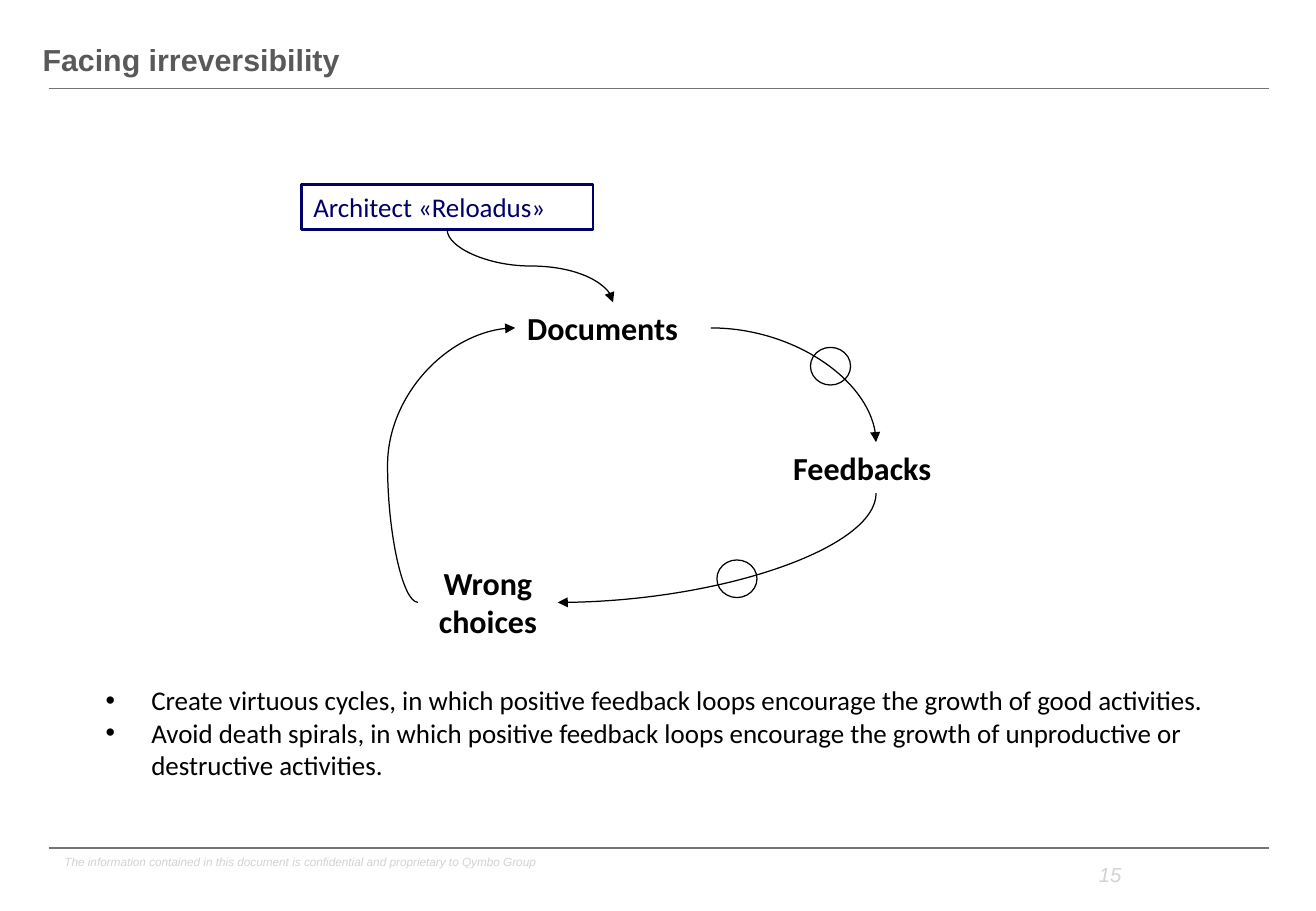
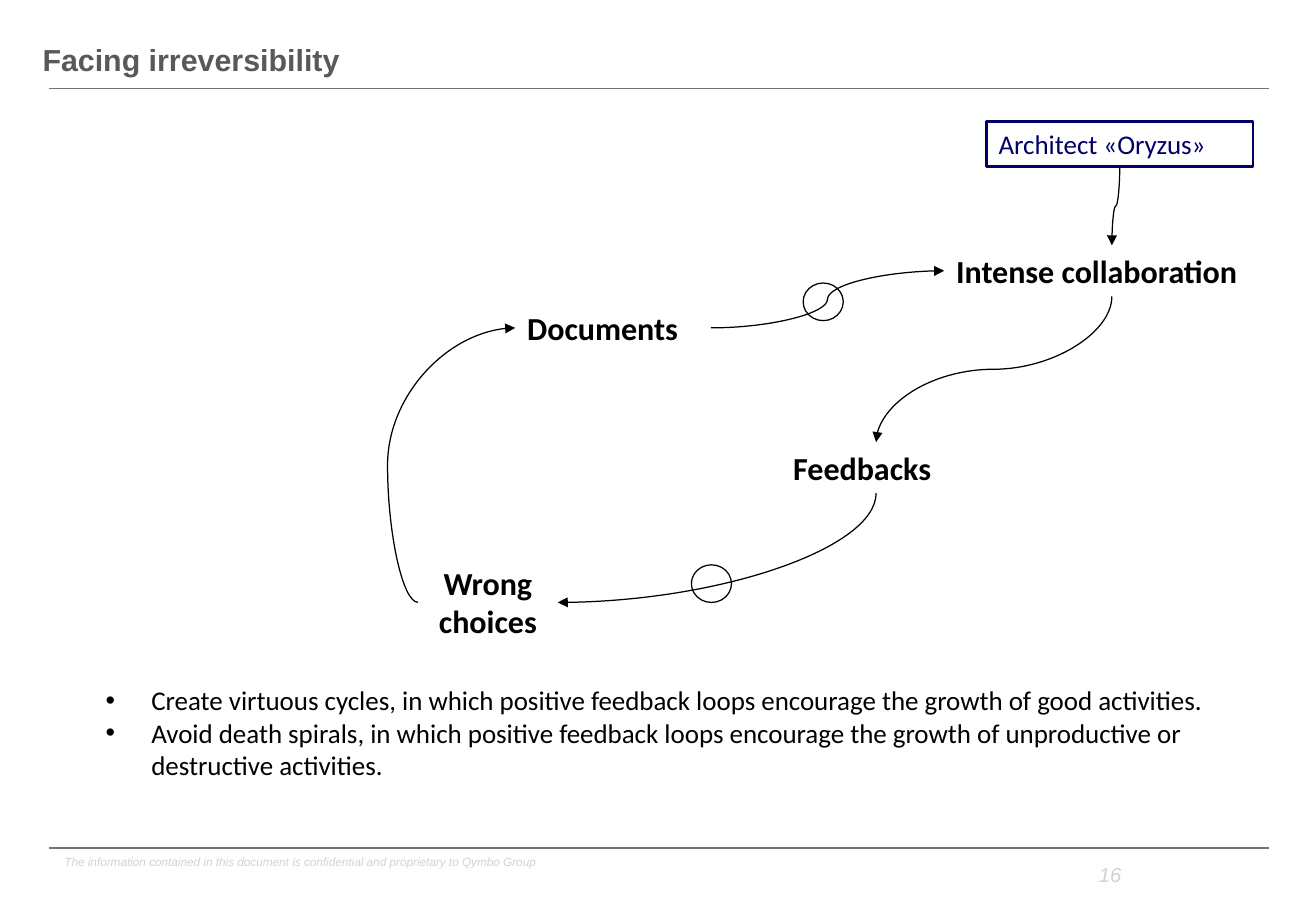
from lxml.etree import SubElement
from pptx import Presentation
from pptx.dml.color import RGBColor as Rgb
from pptx.enum.shapes import MSO_CONNECTOR as Link, MSO_SHAPE as Preset
from pptx.enum.text import MSO_ANCHOR as Anchor, MSO_AUTO_SIZE as Fit, PP_ALIGN as Align
from pptx.oxml.ns import qn
from pptx.util import Inches, Pt

BLACK, NAVY, RULE_GREY = (Rgb.from_string(code) for code in ("000000", "000066", "747373"))
TITLE_GREY, FOOTER_GREY = (Rgb.from_string(code) for code in ("595959", "D4D2D0"))
THEME = {
    "title": {"name": "Arial", "size": Pt(18), "bold": True, "rgb": TITLE_GREY},
    "footer": {"name": "Arial", "size": Pt(7), "italic": True, "rgb": FOOTER_GREY},
    "number": {"name": "Arial", "size": Pt(12), "italic": True, "rgb": FOOTER_GREY},
    "step": {"name": "Calibri", "size": Pt(19), "bold": True, "rgb": BLACK},
    "body": {"name": "Calibri", "size": Pt(16), "rgb": BLACK},
    "architect": {"name": "Calibri", "size": Pt(16), "rgb": NAVY},
    "rule": {"width": Pt(1), "rgb": RULE_GREY},
    "arrow": {"width": Pt(0.75), "rgb": BLACK},
    "frame": {"width": Pt(1.5), "rgb": NAVY},
}

TITLE = "Facing irreversibility"
FOOTER = "The information contained in this document is confidential and proprietary to Qymbo Group"
LESSONS = [
    "Create virtuous cycles, in which positive feedback loops encourage the growth of good activities.",
    "Avoid death spirals, in which positive feedback loops encourage the growth of unproductive or "
    "destructive activities.",
]
TOP, LEFT, BOTTOM, RIGHT = range(4)
STEPS = {
    "Documents": (4.24, 2.49, 1.61, 0.42),
    "Feedbacks": (6.43, 3.64, 1.56, 0.42),
    "Wrong\nchoices": (3.44, 4.59, 1.15, 0.74),
}
ARROWS = [
    ("Feedbacks", BOTTOM, "Wrong\nchoices", RIGHT, None),
    ("Wrong\nchoices", LEFT, "Documents", LEFT, -0.313),
]
DIAGRAMS = [
    {
        "number": 15,
        "architect": ("Architect «Reloadus»", (2.48, 1.52, 2.4, 0.37)),
        "steps": STEPS,
        "arrows": ARROWS + [
            ("architect", BOTTOM, "Documents", TOP, 0.5),
            ("Documents", RIGHT, "Feedbacks", TOP, None),
        ],
        "circles": [(6.67, 2.86), (5.9, 4.61)],
    },
    {
        "number": 16,
        "architect": ("Architect «Oryzus»", (8.12, 1, 2.19, 0.37)),
        "steps": STEPS | {"Intense collaboration": (7.77, 2.02, 2.76, 0.42)},
        "arrows": ARROWS + [
            ("architect", BOTTOM, "Intense collaboration", TOP, 0.5),
            ("Documents", RIGHT, "Intense collaboration", LEFT, 0.5),
            ("Intense collaboration", BOTTOM, "Feedbacks", TOP, 0.5),
        ],
        "circles": [(6.61, 2.33), (5.69, 4.65)],
    },
]


def write(box, place, text, look, align=Align.LEFT, inset=(0.1, 0.05), anchor=Anchor.TOP):
    box.left, box.top, box.width, box.height = map(Inches, place)
    frame = box.text_frame
    across, down = map(Inches, inset)
    layout_values = {
        "text": text, "word_wrap": True, "auto_size": Fit.NONE, "vertical_anchor": anchor,
        "margin_left": across, "margin_right": across, "margin_top": down, "margin_bottom": down,
    }
    for name, value in layout_values.items():
        setattr(frame, name, value)
    for para in frame.paragraphs:
        para.alignment, para.space_before = align, Pt(0)
        for span in para.runs:
            for name, value in THEME[look].items():
                setattr(span.font.color if name == "rgb" else span.font, name, value)
    return box


def draw_line(shape, look):
    for name, value in THEME[look].items():
        setattr(shape.line.color if name == "rgb" else shape.line, name, value)
    return shape


deck = Presentation()
deck.slide_width, deck.slide_height = Inches(10.83), Inches(7.5)
layout = deck.slide_layouts[1]
pages = [deck.slides.add_slide(layout) for diagram in DIAGRAMS]

shared = [write(pages[0].shapes.add_textbox(0, 0, 0, 0), (0.42, 6.99, 4.12, 0.22), FOOTER,
                "footer", inset=(0.11, 0.05))]
for height in (0.73, 6.98):
    rule = pages[0].shapes.add_connector(
        Link.STRAIGHT, Inches(0.4), Inches(height), Inches(10.44), Inches(height))
    draw_line(rule, "rule")
    SubElement(rule.element.spPr, qn("a:effectLst"))
    shared.append(rule)
for shape in shared:
    layout.shapes.element.append(shape.element)

for page, diagram in zip(pages, DIAGRAMS):
    shapes = page.shapes
    write(shapes.title, (0.35, 0.29, 9.06, 0.39), TITLE, "title", inset=(0, 0), anchor=Anchor.MIDDLE)
    write(page.placeholders[1], (0.77, 5.58, 9.33, 1.18), "\n".join(LESSONS), "body")
    write(shapes.add_textbox(0, 0, 0, 0), (6.79, 7.06, 2.53, 0.28), str(diagram["number"]),
          "number", Align.RIGHT, (0.09, 0.04))

    name, place = diagram["architect"]
    architect = write(shapes.add_textbox(0, 0, 0, 0), place, name, "architect")
    boxes = {"architect": draw_line(architect, "frame")}
    for step, place in diagram["steps"].items():
        align = Align.CENTER if "\n" in step else Align.LEFT
        boxes[step] = write(shapes.add_textbox(0, 0, 0, 0), place, step, "step", align)

    for source, source_side, target, target_side, bend in diagram["arrows"]:
        arrow = draw_line(shapes.add_connector(Link.CURVE, 0, 0, 0, 0), "arrow")
        arrow.begin_connect(boxes[source], source_side)
        arrow.end_connect(boxes[target], target_side)
        across, down = arrow.end_x - arrow.begin_x, arrow.end_y - arrow.begin_y
        middle_x, middle_y = arrow.begin_x + across // 2, arrow.begin_y + down // 2
        upright = source_side == BOTTOM
        width, height = (abs(down), abs(across)) if upright else (abs(across), abs(down))
        arrow.left, arrow.top = middle_x - width // 2, middle_y - height // 2
        arrow.width, arrow.height = width, height

        properties = arrow.element.spPr
        turn = {
            "rot": 90 * 60000 if upright else 0,
            "flipH": int(not upright and across < 0),
            "flipV": int(across > 0 if upright else down < 0),
        }
        for key, value in turn.items():
            properties.find(qn("a:xfrm")).set(key, str(value))
        geometry = properties.find(qn("a:prstGeom"))
        if bend is None:
            geometry.set("prst", "curvedConnector2")
        else:
            SubElement(geometry.find(qn("a:avLst")), qn("a:gd"),
                       name="adj1", fmla=f"val {round(bend * 100000)}")
        SubElement(properties.find(qn("a:ln")), qn("a:tailEnd"), type="triangle")
        SubElement(properties, qn("a:effectLst"))

    for left, top in diagram["circles"]:
        circle = shapes.add_shape(Preset.OVAL, Inches(left), Inches(top), Inches(0.33), Inches(0.31))
        circle.shadow.inherit = False
        circle.fill.background()
        draw_line(circle, "arrow")

deck.save("out.pptx")
